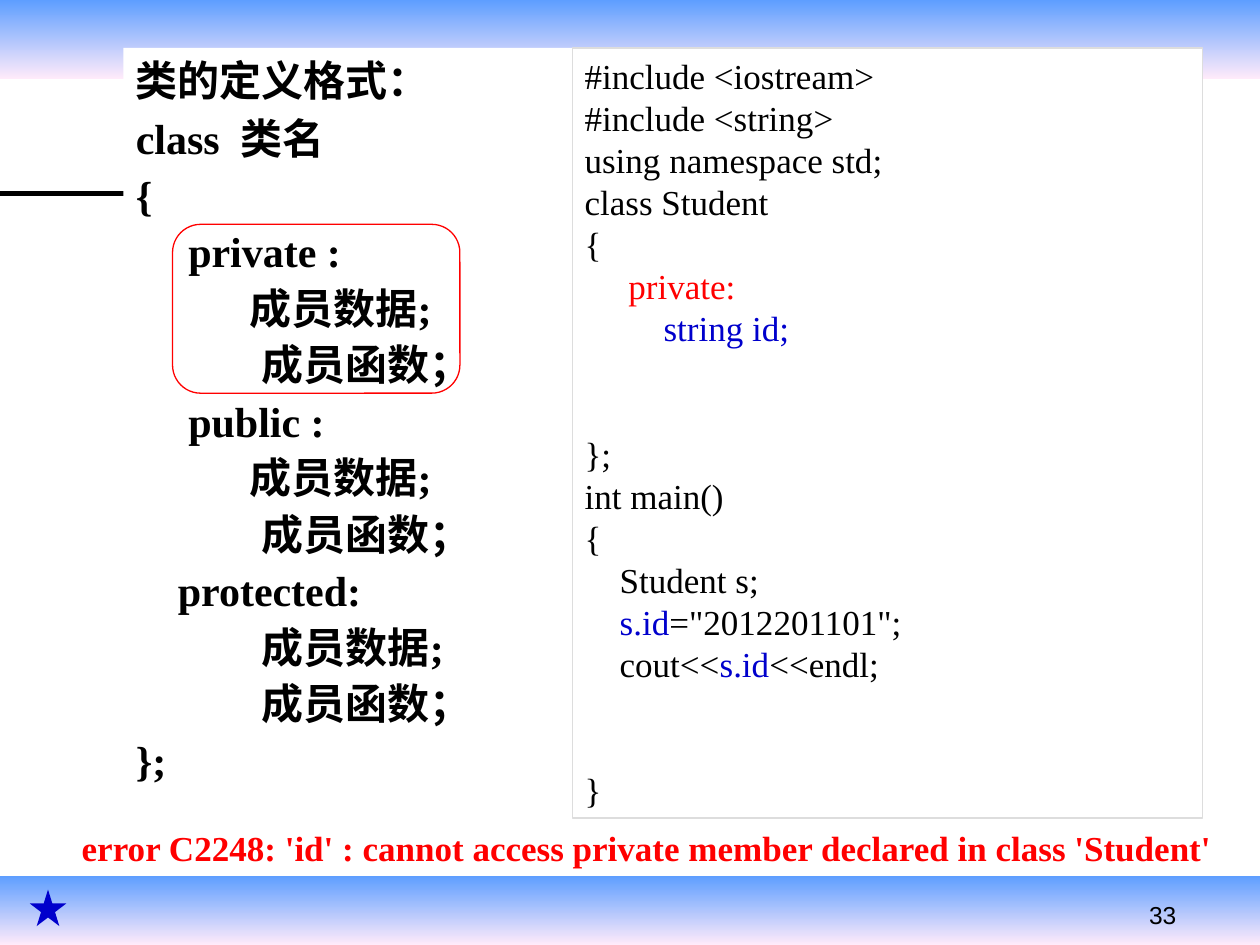
from dataclasses import dataclass

from lxml import etree
from pptx import Presentation
from pptx.dml.color import RGBColor
from pptx.enum import shapes as sh, text as tx
from pptx.oxml.ns import qn
from pptx.util import Pt

BLACK, WHITE, RED, BLUE = "000000", "FFFFFF", "FF0000", "0000CC"
SERIF = "Times New Roman"


@dataclass
class Box:
    left: float
    top: float
    width: float
    height: float

    def pts(self):
        return [Pt(v) for v in (self.left, self.top, self.width, self.height)]


@dataclass
class Style:
    size: float
    font: str = SERIF
    bold: bool = False


@dataclass
class Line:
    runs: list  # (text, colour) pairs
    indent: float = 0
    before: float = 0
    pitch: float | None = None  # a Length, or a share of a line


def rgb(color: str) -> RGBColor:
    return RGBColor.from_string(color)


def add_shape(slide, kind, box: Box, fill=None, edge=None):
    shape = slide.shapes.add_shape(kind, *box.pts())
    shape.shadow.inherit = False
    if fill:
        shape.fill.solid()
        shape.fill.fore_color.rgb = rgb(fill)
    else:
        shape.fill.background()
    if edge:
        shape.line.color.rgb = rgb(edge)
        shape.line.width = Pt(0.75)
    else:
        shape.line.fill.background()
    return shape


def add_band(slide, box: Box):
    """Draw a band that fades downwards from blue to pink."""
    band = add_shape(slide, sh.MSO_SHAPE.RECTANGLE, box)
    band.fill.gradient()
    band.fill.gradient_angle = 270
    for stop, color in zip(band.fill.gradient_stops, ("5E9EFF", "FFEBFA")):
        stop.color.rgb = rgb(color)


def write(shape, lines: list[Line], style: Style, wrap: bool = True):
    frame = shape.text_frame
    frame.word_wrap = wrap
    frame.auto_size = tx.MSO_AUTO_SIZE.NONE if wrap else tx.MSO_AUTO_SIZE.SHAPE_TO_FIT_TEXT
    frame.vertical_anchor = tx.MSO_ANCHOR.TOP
    for i, line in enumerate(lines):
        para = frame.add_paragraph() if i else frame.paragraphs[0]
        para.alignment = tx.PP_ALIGN.LEFT
        if line.indent:
            props = para._p.get_or_add_pPr()
            props.set("marL", str(Pt(line.indent)))
            props.set("indent", "0")
        if line.before:
            para.space_before = Pt(line.before)
        if line.pitch:
            para.line_spacing = line.pitch
        for words, color in line.runs:
            run = para.add_run()
            run.text = words
            run.font.name = style.font
            run.font.size = Pt(style.size)
            run.font.bold = style.bold
            run.font.color.rgb = rgb(color)


def add_label(slide, box: Box, words: str, color: str, style: Style):
    label = slide.shapes.add_textbox(*box.pts())
    write(label, [Line([(words, color)])], style, wrap=False)


def add_rule(slide, left: float, right: float, top: float):
    rule = slide.shapes.add_connector(
        sh.MSO_CONNECTOR.STRAIGHT, Pt(left), Pt(top), Pt(right), Pt(top))
    rule.line.color.rgb = rgb(BLACK)
    rule.line.width = Pt(3)
    etree.SubElement(rule._element.spPr, qn("a:effectLst"))


def format_lines() -> list[Line]:
    """Lay out the general form of a class, one section per access word."""
    data, func = "成员数据;", "成员函数；"
    rows = [("class  类名", 0), ("{", 0)]
    for word, indent, inner in (("private :", 30, 65), ("public :", 30, 65),
                                ("protected:", 24, 72)):
        rows += [(word, indent), (data, inner), (func, 72)]
    rows.append(("};", 0))
    return [Line([("类的定义格式：", BLACK)])] + [
        Line([(words, BLACK)], indent, 15, 0.6) for words, indent in rows]


def code_lines() -> list[Line]:
    gap = 48  # two empty lines of code
    rows = [
        "#include <iostream>",
        "#include <string>",
        "using namespace std;",
        "class Student",
        "{",
        [("     ", BLACK), ("private:", RED)],
        [("         ", BLACK), ("string id;", BLUE)],
        "};",
        "int main()",
        "{",
        "    Student s;",
        [("    ", BLACK), ("s.id", BLUE), ('="2012201101";', BLACK)],
        [("    cout<<", BLACK), ("s.id", BLUE), ("<<endl;", BLACK)],
        "}",
    ]
    return [Line([(row, BLACK)] if isinstance(row, str) else row,
                 before=gap if row in ("};", "}") else 0, pitch=Pt(24))
            for row in rows]


def main():
    deck = Presentation()
    deck.slide_width, deck.slide_height = Pt(720), Pt(540)
    slide = deck.slides.add_slide(deck.slide_layouts[6])
    kinds = sh.MSO_SHAPE

    add_band(slide, Box(0, 0, 720, 45))
    add_band(slide, Box(0, 500.5, 720, 39.5))
    add_rule(slide, 0, 366, 110.5)
    add_label(slide, Box(649.5, 511, 78.5, 24.5), "33", BLACK, Style(14, "Arial"))

    form = add_shape(slide, kinds.RECTANGLE, Box(70.5, 27.4, 270, 423.5), WHITE)
    write(form, format_lines(), Style(24, bold=True))
    add_shape(slide, kinds.ROUNDED_RECTANGLE, Box(98.6, 128.2, 164.2, 96.5), edge=RED)

    code = add_shape(slide, kinds.RECTANGLE, Box(327, 27.4, 360, 440), WHITE, "DDDDDD")
    write(code, code_lines(), Style(20))
    add_label(slide, Box(39.6, 468.7, 661.7, 31.7),
              "error C2248: 'id' : cannot access private member declared in class 'Student'",
              RED, Style(20, bold=True))
    add_shape(slide, kinds.STAR_5_POINT, Box(17, 508.3, 20.9, 20.9), BLUE)

    deck.save("out.pptx")


if __name__ == "__main__":
    main()
